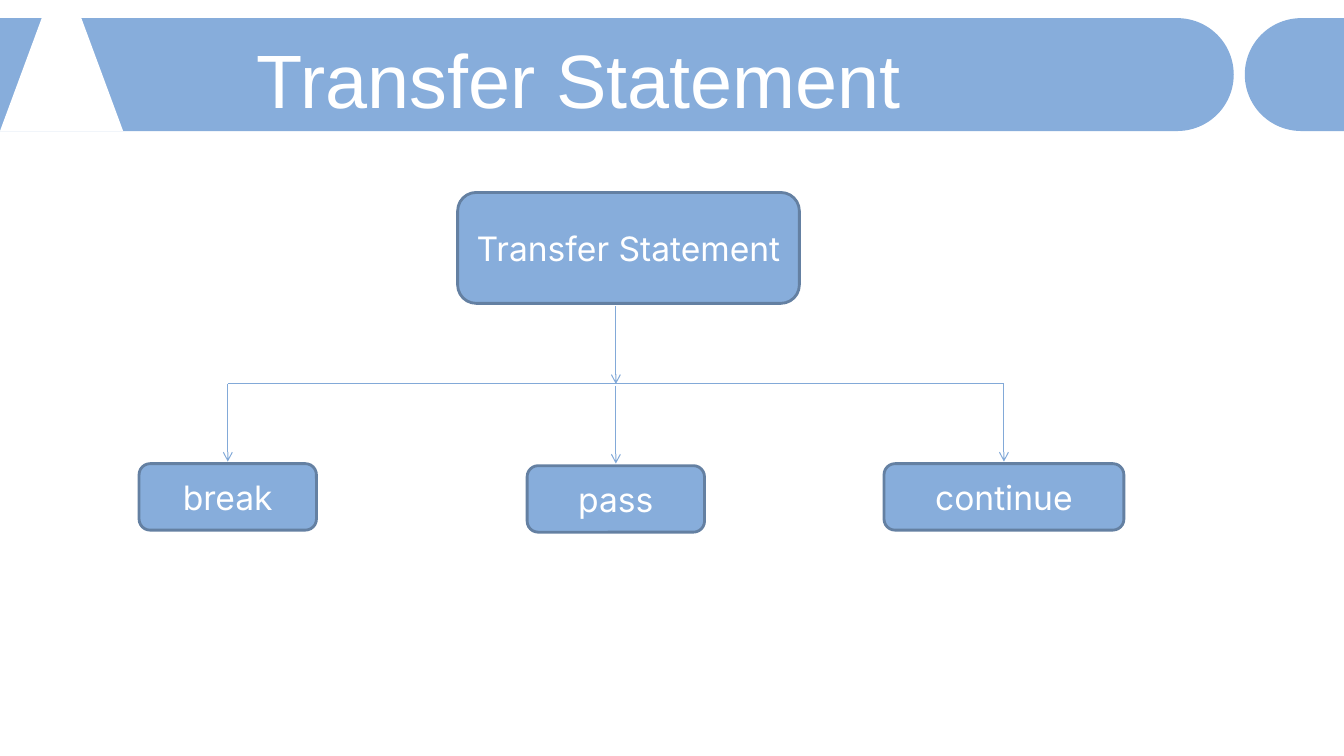
from dataclasses import dataclass
from math import cos, pi, sin

from lxml import etree
from pptx import Presentation
from pptx.dml.color import RGBColor
from pptx.enum.shapes import MSO_CONNECTOR, MSO_SHAPE
from pptx.enum.text import MSO_ANCHOR, PP_ALIGN
from pptx.oxml.ns import qn
from pptx.util import Pt

STRAIGHT = MSO_CONNECTOR.STRAIGHT
ROUNDED, TRAPEZOID = MSO_SHAPE.ROUNDED_RECTANGLE, MSO_SHAPE.TRAPEZOID
MIDDLE, CENTER = MSO_ANCHOR.MIDDLE, PP_ALIGN.CENTER


@dataclass(frozen=True)
class Theme:
    """Colours, fonts and type sizes of the slide."""
    blue: RGBColor = RGBColor(0x87, 0xAD, 0xDB)
    outline: RGBColor = RGBColor(0x64, 0x80, 0xA2)
    branch: RGBColor = RGBColor(0x82, 0xA9, 0xD8)
    white: RGBColor = RGBColor(0xFF, 0xFF, 0xFF)
    title_font: str = "Arial"
    node_font: str = "Inter"
    title_size: int = 54
    node_size: int = 24
    outline_width: float = 2
    branch_width: float = 0.75


@dataclass(frozen=True)
class Box:
    """A region of the slide, in points."""
    left: float
    top: float
    width: float
    height: float

    def lengths(self):
        """Return the four lengths as Pt values."""
        return Pt(self.left), Pt(self.top), Pt(self.width), Pt(self.height)


THEME = Theme()


def fill_plain(shape, color):
    """Give a shape a flat fill without line or shadow."""
    shape.shadow.inherit = False
    shape.fill.solid()
    shape.fill.fore_color.rgb = color
    shape.line.fill.background()


def write(paragraph, wording, font_name, size):
    """Add one white run to a paragraph."""
    run = paragraph.add_run()
    run.text = wording
    run.font.name = font_name
    run.font.size = Pt(size)
    run.font.color.rgb = THEME.white


def add_band(slide, box, round_right):
    """Draw a band with one half-round end, on the right or the left."""
    radius = box.height / 2
    right = box.left + box.width
    flat, hub, side = ((box.left, right - radius, 1) if round_right
                       else (right, box.left + radius, -1))
    angles = [pi * step / 48 - pi / 2 for step in range(49)]
    cap = [(hub + side * radius * cos(a), box.top + radius + radius * sin(a))
           for a in angles]
    outline = [*cap, (flat, box.top + box.height)]
    builder = slide.shapes.build_freeform(Pt(flat), Pt(box.top), scale=1.0)
    builder.add_line_segments([(Pt(x), Pt(y)) for x, y in outline], close=True)
    fill_plain(builder.convert_to_shape(), THEME.blue)


def add_header(slide, box, title):
    """Place the two bands, the plain emblem and the title."""
    main_width, gap = 881.28, 7.9
    add_band(slide, Box(box.left, box.top, main_width, box.height), True)
    emblem = slide.shapes.add_shape(
        TRAPEZOID, *Box(box.left, box.top, 88, box.height).lengths())
    emblem.adjustments[0] = 0.37
    fill_plain(emblem, THEME.white)
    tail_left = box.left + main_width + gap
    add_band(slide, Box(tail_left, box.top, box.left + box.width - tail_left,
                        box.height), False)

    title_box = Box(box.left + 176.4, box.top + 13.68, 760.32, 66.96)
    frame = slide.shapes.add_textbox(*title_box.lengths()).text_frame
    frame.word_wrap = True
    frame.vertical_anchor = MIDDLE
    paragraph = frame.paragraphs[0]
    paragraph.line_spacing = 0.9
    paragraph.space_before = Pt(10)
    write(paragraph, title, THEME.title_font, THEME.title_size)


def add_node(slide, box, label):
    """Draw one rounded node with its label."""
    node = slide.shapes.add_shape(ROUNDED, *box.lengths())
    fill_plain(node, THEME.blue)
    node.line.color.rgb = THEME.outline
    node.line.width = Pt(THEME.outline_width)
    frame = node.text_frame
    frame.word_wrap = True
    frame.vertical_anchor = MIDDLE
    paragraph = frame.paragraphs[0]
    paragraph.alignment = CENTER
    write(paragraph, label, THEME.node_font, THEME.node_size)


def add_branch(slide, start, end, arrow=True):
    """Draw a thin line, with an open arrowhead at its end if asked."""
    branch = slide.shapes.add_connector(
        STRAIGHT, *(Pt(length) for length in (*start, *end)))
    branch.line.color.rgb = THEME.branch
    branch.line.width = Pt(THEME.branch_width)
    if arrow:
        etree.SubElement(branch.line._get_or_add_ln(), qn("a:tailEnd"),
                         type="arrow")
    etree.SubElement(branch._element.spPr, qn("a:effectLst"))


def add_tree(slide, box, root, leaves):
    """Place the root, the branches and the leaves, given as
    (label, width, drop), where drop lowers a leaf and its arrow."""
    column_gap, stem, leaf_height, clearance = 277.2, 55.44, 47.5, 1.5
    first_center = box.left + leaves[0][1] / 2
    centers = [first_center + column_gap * i for i in range(len(leaves))]
    leaf_top = box.top + 193.68
    rail = leaf_top - clearance - stem

    add_node(slide, Box(box.left + 227.52, box.top, 244.08, 79.2), root)
    add_branch(slide, (centers[0], rail), (centers[-1], rail), arrow=False)
    for center, (label, width, drop) in zip(centers, leaves):
        add_branch(slide, (center, rail + drop), (center, rail + drop + stem))
        add_node(slide, Box(center - width / 2, leaf_top + drop, width,
                            leaf_height), label)
    middle = (centers[0] + centers[-1]) / 2
    add_branch(slide, (middle, rail - stem), (middle, rail))


def main():
    """Build the slide and save it."""
    deck = Presentation()
    deck.slide_width, deck.slide_height = Pt(960), Pt(540)
    slide = deck.slides.add_slide(deck.slide_layouts[6])
    add_header(slide, Box(0, 12.96, 960, 80.64), "Transfer Statement")
    add_tree(slide, Box(99.36, 137.52, 703.44, 242.64), "Transfer Statement",
             [("break", 126.72, 0), ("pass", 126.72, 1.44),
              ("continue", 171.36, 0)])
    deck.save("out.pptx")


main()
